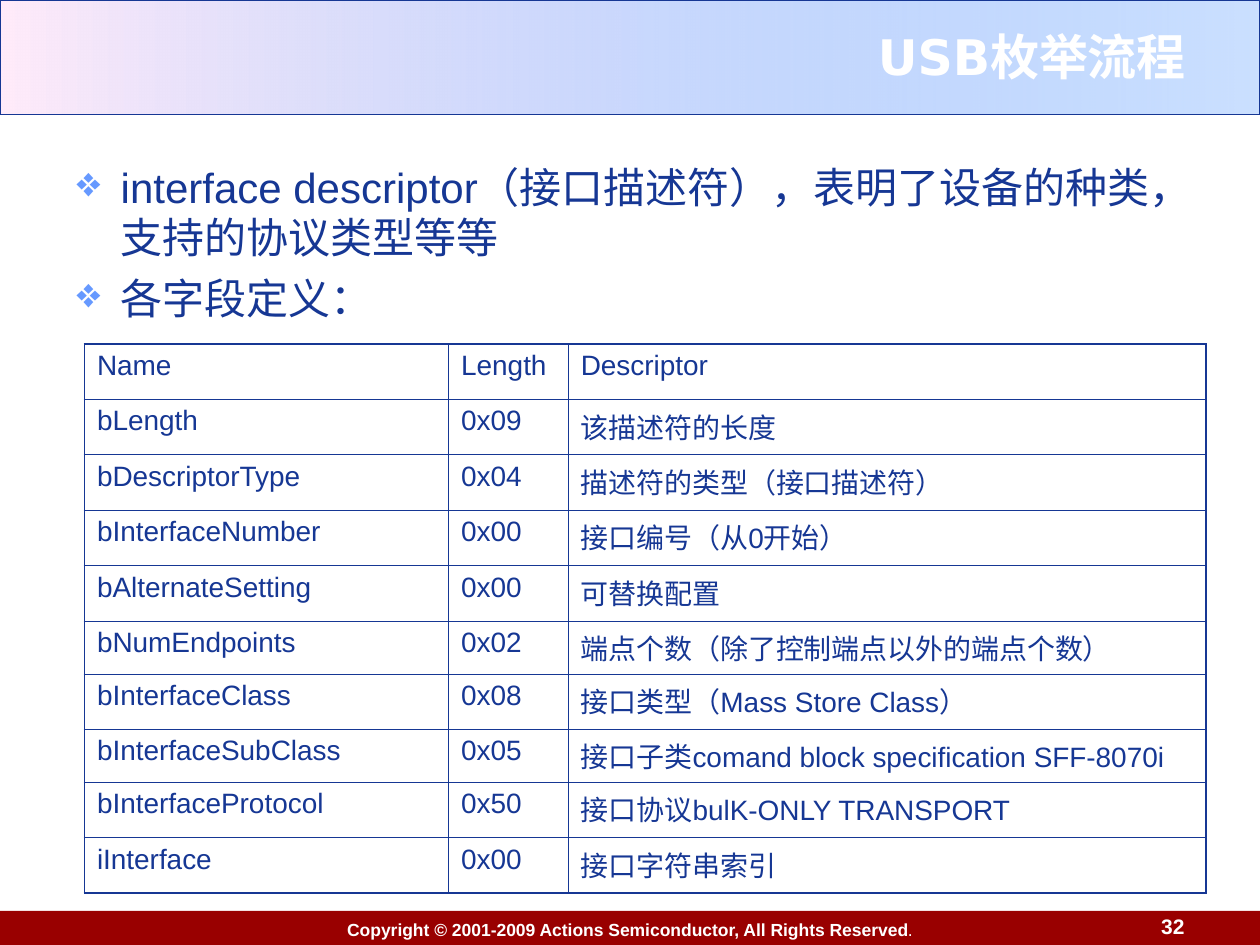
from dataclasses import dataclass, field

from lxml import etree
from pptx import Presentation
from pptx.dml.color import RGBColor
from pptx.enum.shapes import MSO_SHAPE
from pptx.enum.text import MSO_ANCHOR, PP_ALIGN
from pptx.oxml.ns import qn
from pptx.util import Inches, Pt

RECTANGLE = MSO_SHAPE.RECTANGLE
TOP, MIDDLE, BOTTOM = MSO_ANCHOR.TOP, MSO_ANCHOR.MIDDLE, MSO_ANCHOR.BOTTOM
LEFT, CENTER, RIGHT = PP_ALIGN.LEFT, PP_ALIGN.CENTER, PP_ALIGN.RIGHT

COLORS = {
    "navy": "163794",
    "bullet": "6699FF",
    "sky": "5E9EFF",
    "pink": "FFEBFA",
    "red": "990000",
    "white": "FFFFFF",
}
THIN, THICK = 0.45, 1.08
COLUMN_WIDTHS = (2.89, 0.95, 5.06)
ROW_HEIGHT = 0.44
SHORT_ROWS = {5: 0.42, 7: 0.42}
ROWS = (
    ("Name", "Length", "Descriptor"),
    ("bLength", "0x09", "该描述符的长度"),
    ("bDescriptorType", "0x04", "描述符的类型（接口描述符）"),
    ("bInterfaceNumber", "0x00", "接口编号（从0开始）"),
    ("bAlternateSetting", "0x00", "可替换配置"),
    ("bNumEndpoints", "0x02", "端点个数（除了控制端点以外的端点个数）"),
    ("bInterfaceClass", "0x08", "接口类型（Mass Store Class）"),
    ("bInterfaceSubClass", "0x05", "接口子类comand block specification SFF-8070i"),
    ("bInterfaceProtocol", "0x50", "接口协议bulK-ONLY TRANSPORT"),
    ("iInterface", "0x00", "接口字符串索引"),
)


@dataclass
class TextStyle:
    size: float
    color: str
    name: str = "Arial"
    bold: bool = False
    alignment: PP_ALIGN = LEFT


@dataclass
class TextBlock:
    box: tuple[float, float, float, float]
    paragraphs: list[str]
    style: TextStyle
    anchor: MSO_ANCHOR = TOP
    bulleted: bool = False
    space_before: float = field(default=0)


def rgb(color: str) -> RGBColor:
    return RGBColor.from_string(COLORS[color])


def format_run(run, style: TextStyle, **changes) -> None:
    values = {"size": Pt(style.size), "name": style.name, "bold": style.bold}
    for attribute, value in (values | changes).items():
        setattr(run.font, attribute, value)
    run.font.color.rgb = rgb(style.color)


def write(paragraph, text: str, style: TextStyle) -> None:
    paragraph.alignment = style.alignment
    run = paragraph.add_run()
    run.text = text
    format_run(run, style)


def add_bullet(paragraph) -> None:
    properties = paragraph._p.get_or_add_pPr()
    properties.set("marL", str(Inches(0.35)))
    properties.set("indent", str(-Inches(0.35)))
    color = etree.SubElement(properties, qn("a:buClr"))
    etree.SubElement(color, qn("a:srgbClr"), val=COLORS["bullet"])
    etree.SubElement(properties, qn("a:buChar"), char="❖")


def add_text(slide, block: TextBlock) -> None:
    frame = slide.shapes.add_textbox(*map(Inches, block.box)).text_frame
    frame.word_wrap = True
    frame.vertical_anchor = block.anchor
    for index, text in enumerate(block.paragraphs):
        paragraph = frame.add_paragraph() if index else frame.paragraphs[0]
        if block.bulleted:
            add_bullet(paragraph)
        if index:
            paragraph.space_before = Pt(block.space_before)
        write(paragraph, text, block.style)


def add_band(slide, top: float, height: float):
    shape = slide.shapes.add_shape(
        RECTANGLE, Inches(0), Inches(top), Inches(10), Inches(height))
    shape.shadow.inherit = False
    return shape


def add_header(slide) -> None:
    header = add_band(slide, 0, 0.91)
    header.line.color.rgb = rgb("navy")
    header.line.width = Pt(0.75)
    header.fill.gradient()
    header.fill.gradient_angle = 180
    for stop, color in zip(header.fill.gradient_stops, ("sky", "pink")):
        stop.color.rgb = rgb(color)
    sky = header._element.spPr.find(".//" + qn("a:srgbClr"))
    etree.SubElement(sky, qn("a:alpha"), val="32000")


def add_footer(slide) -> None:
    footer = add_band(slide, 7.23, 0.29)
    footer.fill.solid()
    footer.fill.fore_color.rgb = rgb("red")
    footer.line.fill.background()
    frame = footer.text_frame
    frame.word_wrap = False
    frame.vertical_anchor = MIDDLE
    style = TextStyle(10, "white", bold=True, alignment=CENTER)
    paragraph = frame.paragraphs[0]
    write(paragraph, "Copyright © 2001-2009 Actions Semiconductor, All Rights Reserved", style)
    period = paragraph.add_run()
    period.text = "."
    format_run(period, style, bold=False)


def set_borders(cell, widths: dict[str, float]) -> None:
    properties = cell._tc.get_or_add_tcPr()
    for side, width in widths.items():
        line = etree.SubElement(properties, qn(f"a:ln{side}"), w=str(Pt(width)))
        fill = etree.SubElement(line, qn("a:solidFill"))
        etree.SubElement(fill, qn("a:srgbClr"), val=COLORS["navy"])


def add_field_table(slide) -> None:
    heights = [SHORT_ROWS.get(index, ROW_HEIGHT) for index in range(len(ROWS))]
    table = slide.shapes.add_table(
        len(ROWS), len(COLUMN_WIDTHS), Inches(0.67), Inches(2.73),
        Inches(sum(COLUMN_WIDTHS)), Inches(sum(heights))).table
    table.first_row = table.horz_banding = False
    for column, width in zip(table.columns, COLUMN_WIDTHS):
        column.width = Inches(width)
    style = TextStyle(16, "navy")
    last_row, last_column = len(ROWS) - 1, len(COLUMN_WIDTHS) - 1
    for row_index, values in enumerate(ROWS):
        table.rows[row_index].height = Inches(heights[row_index])
        for column_index, text in enumerate(values):
            cell = table.cell(row_index, column_index)
            write(cell.text_frame.paragraphs[0], text, style)
            # Outer edges are thicker than the inner grid
            outer = {
                "L": column_index == 0,
                "R": column_index == last_column,
                "T": row_index == 0,
                "B": row_index == last_row,
            }
            set_borders(cell, {side: THICK if edge else THIN for side, edge in outer.items()})
            cell.fill.background()


def main() -> None:
    presentation = Presentation()
    presentation.slide_width, presentation.slide_height = Inches(10), Inches(7.5)
    slide = presentation.slides.add_slide(presentation.slide_layouts[6])

    # Bands at the top and bottom
    add_header(slide)
    add_footer(slide)

    # Page number, title and body
    blocks = (
        TextBlock((8.94, 7.22, 0.56, 0.28), ["32"],
                  TextStyle(12, "white", bold=True, alignment=RIGHT), BOTTOM),
        TextBlock((2.01, 0.13, 7.5, 0.62), ["USB枚举流程"],
                  TextStyle(28, "white", "DejaVu Sans", True, RIGHT), MIDDLE),
        TextBlock((0.51, 1.23, 9.13, 5.9),
                  ["interface descriptor（接口描述符），表明了设备的种类，支持的协议类型等等",
                   "各字段定义："],
                  TextStyle(24, "navy"), bulleted=True, space_before=6),
    )
    for block in blocks:
        add_text(slide, block)

    # Descriptor fields
    add_field_table(slide)
    presentation.save("out.pptx")


if __name__ == "__main__":
    main()
